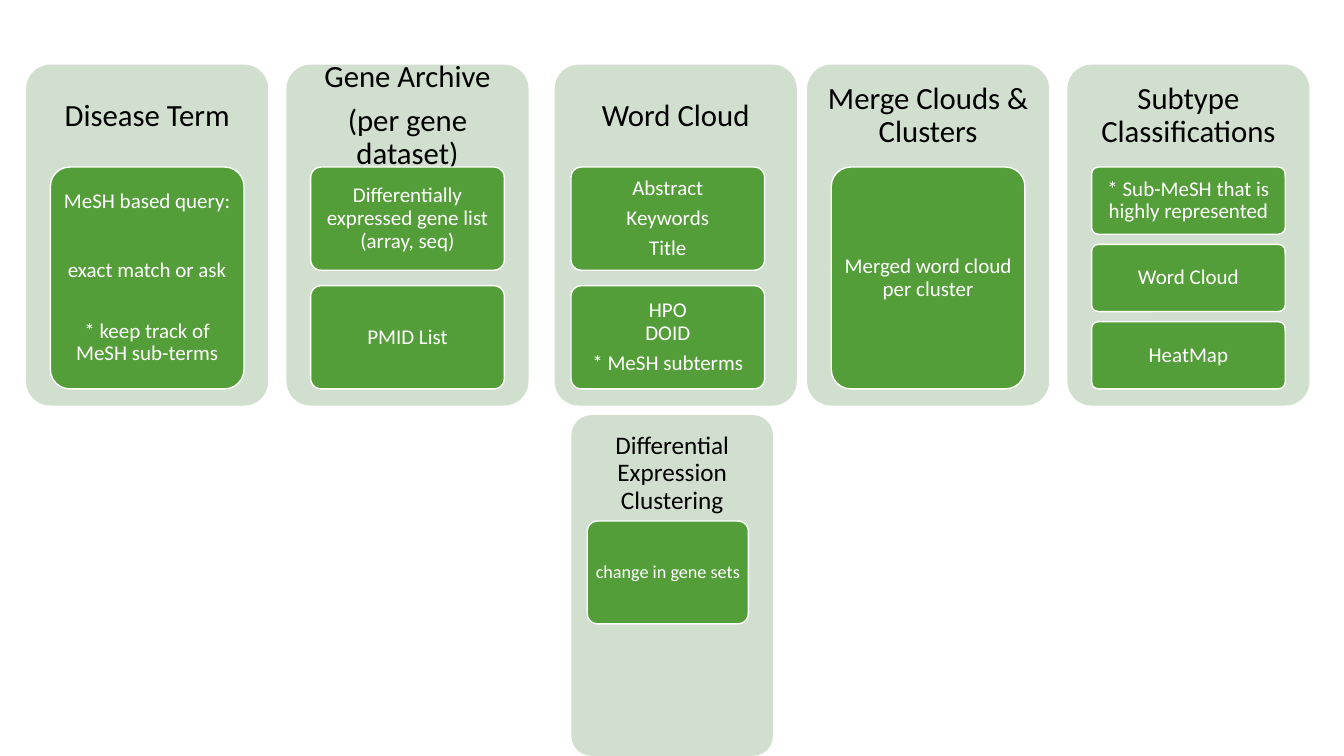
from pptx import Presentation
from pptx import util as u
from pptx.dml.color import RGBColor
from pptx.enum import shapes, text

COLOURS = {"panel": "D1DFCE", "card": "549E39", "heading": "000000", "label": "FFFFFF"}
FONT = "Calibri"
PANEL_WIDTH, PANEL_HEIGHT, PANEL_TOP = 6.1, 8.59, 1.63
FIRST_LEFT, PITCH = 0.66, 6.56
HEADING_HEIGHT = 2.59
CARDS_TOP, CARDS_HEIGHT = 2.58, 5.59
GAP_RATIO = 0.15

STAGES = [
    (["Disease Term"],
     [["MeSH based query:", "exact match or ask", "* keep track of MeSH sub-terms"]], 0, [33, 27, 0]),
    (["Gene Archive", "(per gene dataset)"],
     [["Differentially expressed gene list\n(array, seq)"], ["PMID List"]], 0, None),
    (["Word Cloud"],
     [["Abstract", "Keywords", "Title"], ["HPO\nDOID", "* MeSH subterms"]], 0.2, None),
    (["Merge Clouds & Clusters"], [["Merged word cloud per cluster"]], 0, None),
    (["Subtype Classifications"],
     [["* Sub-MeSH that is highly represented"], ["Word Cloud"], ["HeatMap"]], 0, None),
]


def rgb(name):
    return RGBColor.from_string(COLOURS[name])


def write(frame, paragraphs, size, colour, insets, gaps=None):
    frame.word_wrap = True
    frame.vertical_anchor = text.MSO_ANCHOR.MIDDLE
    frame.margin_left = frame.margin_right = u.Cm(insets[0])
    frame.margin_top = frame.margin_bottom = u.Cm(insets[1])
    gaps = gaps or [round(size * 0.35)] * len(paragraphs)
    for index, (wording, gap) in enumerate(zip(paragraphs, gaps)):
        paragraph = frame.paragraphs[0] if index == 0 else frame.add_paragraph()
        paragraph.alignment = text.PP_ALIGN.CENTER
        paragraph.line_spacing = 0.9
        paragraph.space_after = u.Pt(gap)
        for row, line in enumerate(wording.split("\n")):
            if row:
                paragraph.add_line_break()
            run = paragraph.add_run()
            run.text = line
            run.font.name = FONT
            run.font.size = u.Pt(size)
            run.font.color.rgb = rgb(colour)


def add_rounded(slide, box, fill):
    rounded = slide.shapes.add_shape(
        shapes.MSO_SHAPE.ROUNDED_RECTANGLE, *map(u.Cm, box))
    rounded.adjustments[0] = 0.1
    rounded.shadow.inherit = False
    rounded.fill.solid()
    rounded.fill.fore_color.rgb = rgb(fill)
    rounded.line.fill.background()
    return rounded


def add_panel(slide, box, heading, size, inset, drop=0):
    left, top, width, height = box
    add_rounded(slide, box, "panel")
    heading_box = slide.shapes.add_textbox(
        *map(u.Cm, (left, top + drop, width, HEADING_HEIGHT)))
    write(heading_box.text_frame, heading, size, "heading", (inset, inset))


def add_cards(slide, box, cards, size, gaps=None):
    left, top, width, height = box
    card_height = height / (len(cards) + GAP_RATIO * (len(cards) - 1))
    for index, paragraphs in enumerate(cards):
        card_top = top + index * card_height * (1 + GAP_RATIO)
        card = add_rounded(slide, (left, card_top, width, card_height), "card")
        card.line.color.rgb = rgb("label")
        card.line.width = u.Pt(1)
        write(card.text_frame, paragraphs, size, "label", (0.09, 0.07), gaps)


def add_stages(slide, left, top):
    for index, (heading, cards, shift, gaps) in enumerate(STAGES):
        column = left + index * PITCH
        add_panel(slide, (column + shift, top, PANEL_WIDTH, PANEL_HEIGHT), heading, 22, 0.22)
        add_cards(slide, (column + 0.61, top + CARDS_TOP, 4.88, CARDS_HEIGHT), cards, 15, gaps)


def add_clustering(slide, left, top):
    add_panel(slide, (left, top, 5.08, PANEL_HEIGHT),
              ["Differential Expression Clustering"], 18, 0.18, 0.18)
    add_cards(slide, (left + 0.4, top + 2.67, 4.06, 2.59), [["change in gene sets"]], 13)


def main():
    deck = Presentation()
    deck.slide_width, deck.slide_height = u.Cm(33.87), u.Cm(19.05)
    slide = deck.slides.add_slide(deck.slide_layouts[6])
    add_stages(slide, FIRST_LEFT, PANEL_TOP)
    add_clustering(slide, 14.4, 10.46)
    deck.save("out.pptx")


if __name__ == "__main__":
    main()
